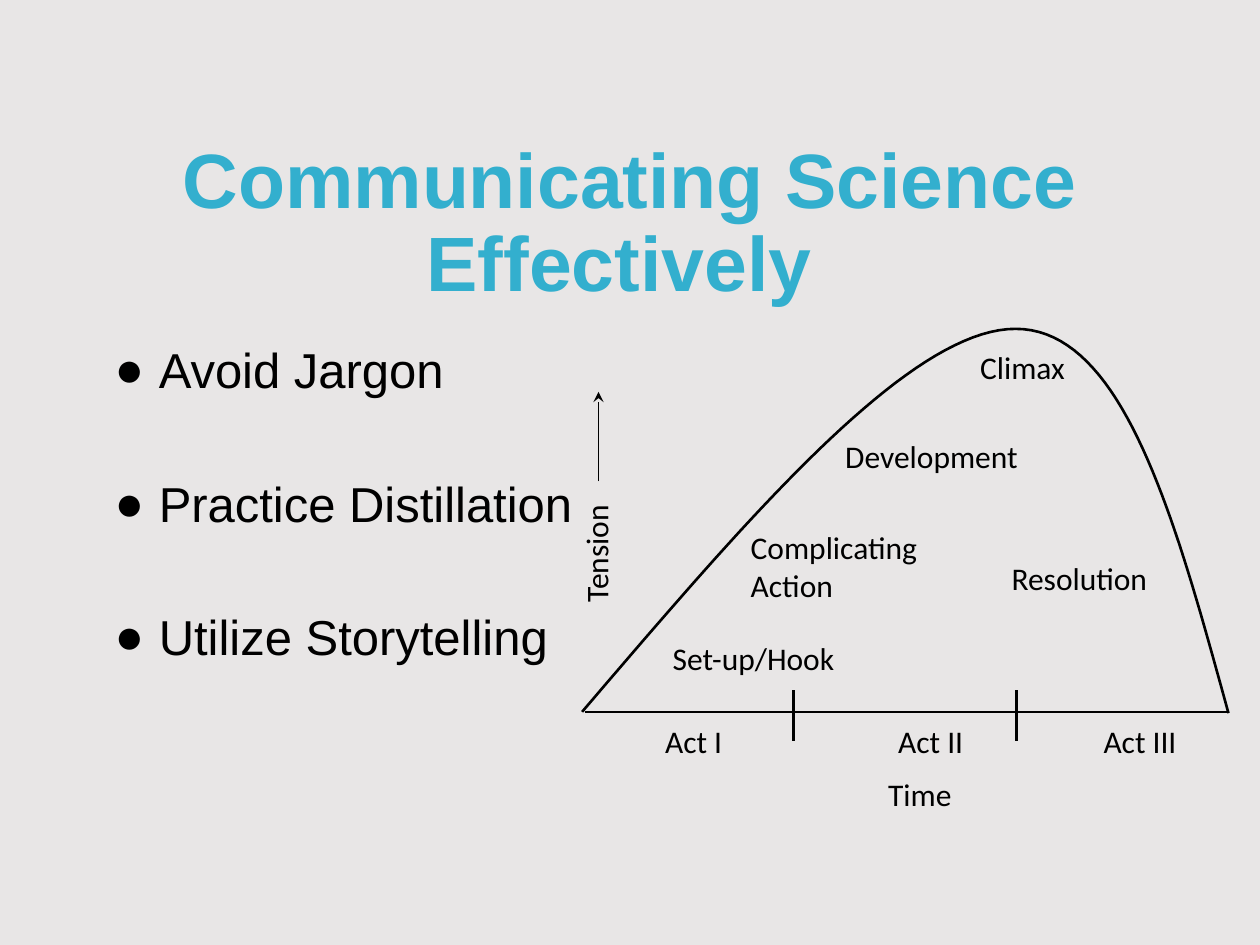
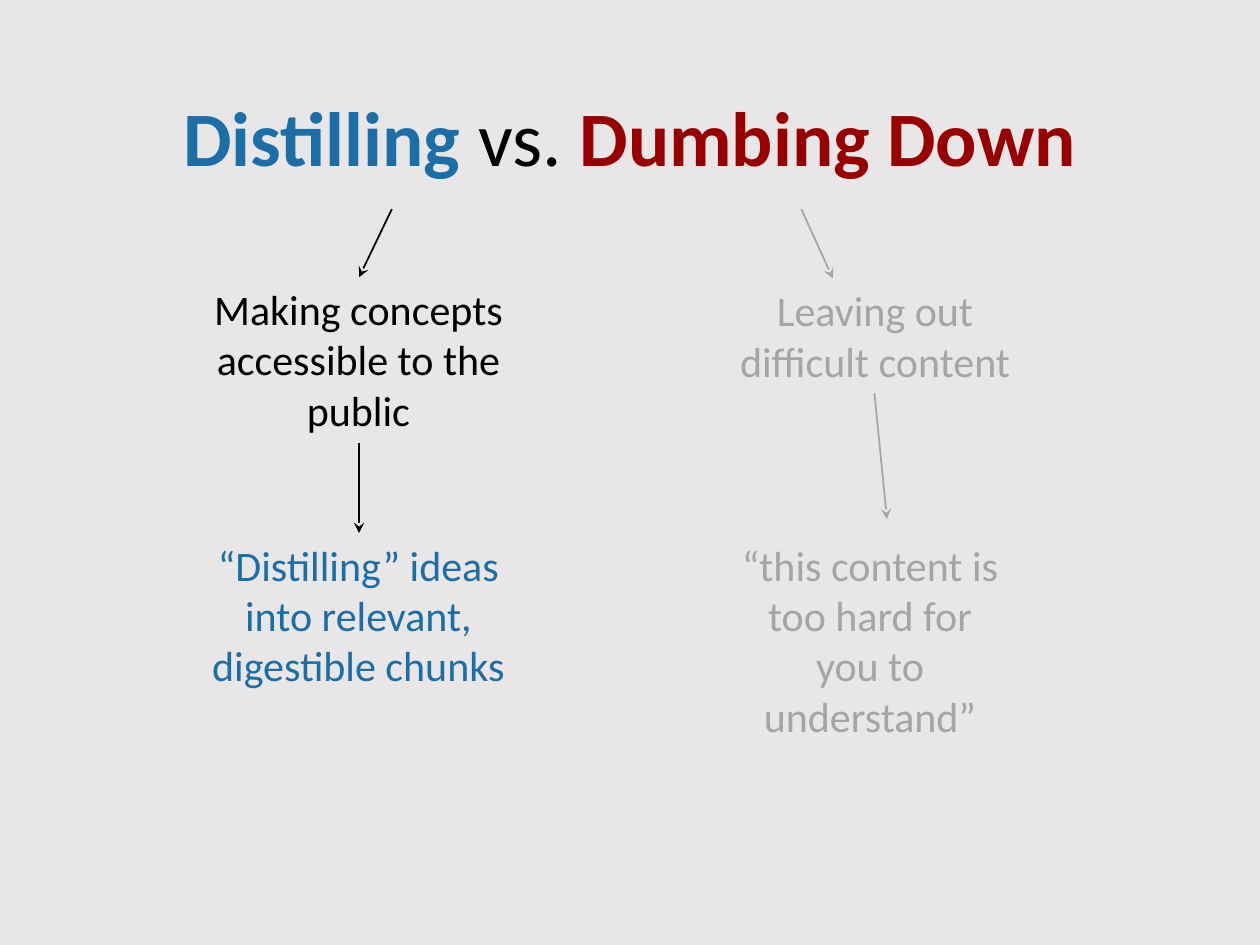
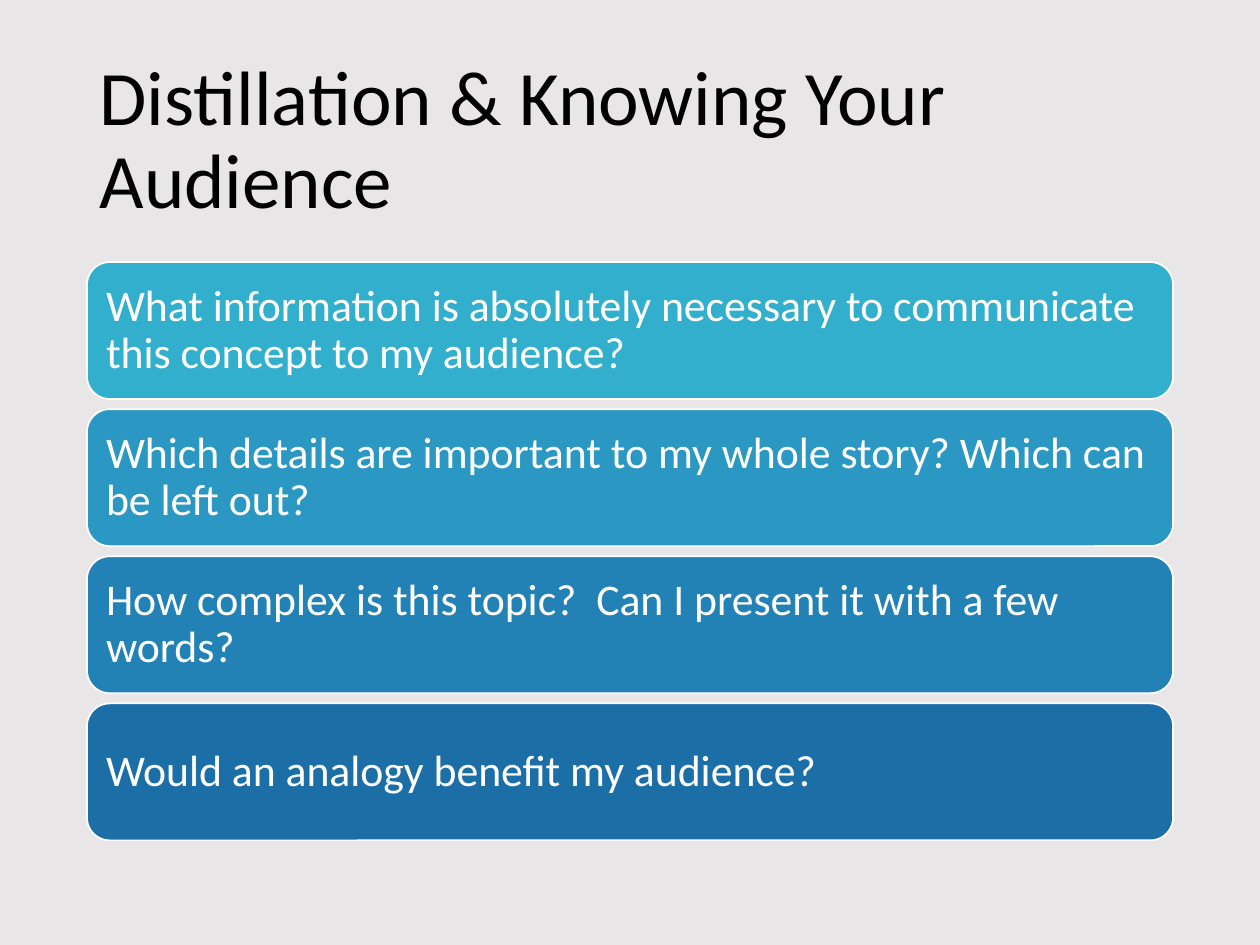
from lxml import etree
from pptx import Presentation
from pptx import util as u
from pptx.dml.color import RGBColor
from pptx.enum import shapes, text
from pptx.oxml import ns

# Shared colours, fonts and layouts
BACKGROUND = RGBColor(0xE8, 0xE6, 0xE6)
BLACK = RGBColor(0x00, 0x00, 0x00)
WHITE = RGBColor(0xFF, 0xFF, 0xFF)
GREY = RGBColor(0xA5, 0xA5, 0xA5)
RED = RGBColor(0x98, 0x00, 0x00)
TEAL = RGBColor(0x33, 0xAF, 0xCE)
AQUA = RGBColor(0x2A, 0x98, 0xC2)
MID_BLUE = RGBColor(0x23, 0x82, 0xB5)
BLUE = RGBColor(0x1C, 0x6E, 0xA7)
HEADING, BODY = "Arial", "Calibri"
LIST_LAYOUT, TITLE_LAYOUT = 1, 5
CENTER, LEFT = text.PP_ALIGN.CENTER, text.PP_ALIGN.LEFT
TITLE_BOX = (0.69, 0.4, 8.62, 1.45)


def set_attributes(target, **values):
    for name, value in values.items():
        setattr(target, name, value)


def place(shape, box):
    for name, value in zip(("left", "top", "width", "height"), box):
        setattr(shape, name, u.Inches(value))


def style_font(font, color, size, name=BODY, bold=False):
    set_attributes(font, name=name, size=u.Pt(size), bold=bold)
    font.color.rgb = color


def add_label(slide, words, box, color=BLACK, size=18, align=LEFT, rotation=0):
    label = slide.shapes.add_textbox(*map(u.Inches, box))
    label.rotation = rotation
    label.text_frame.word_wrap = True
    label.text_frame.text = words
    for paragraph in label.text_frame.paragraphs:
        paragraph.alignment = align
        style_font(paragraph.font, color, size)


def add_line(slide, start, end, color=BLACK, width=1.5, arrow=False):
    line = slide.shapes.add_connector(
        shapes.MSO_CONNECTOR.STRAIGHT, *map(u.Inches, (*start, *end)))
    line.line.color.rgb = color
    line.line.width = u.Pt(width)
    if arrow:
        etree.SubElement(line.line._get_or_add_ln(), ns.qn("a:tailEnd"), type="stealth")
    etree.SubElement(line._element.spPr, ns.qn("a:effectLst"))


def add_title(slide, runs, box=TITLE_BOX, align=CENTER, font=BODY):
    """Fill the title with (words, colour, bold) runs."""
    title = slide.shapes.title
    place(title, box)
    set_attributes(title.text_frame, word_wrap=True, auto_size=text.MSO_AUTO_SIZE.NONE,
                   vertical_anchor=text.MSO_ANCHOR.MIDDLE)
    paragraph = title.text_frame.paragraphs[0]
    set_attributes(paragraph, alignment=align, line_spacing=0.9)
    for words, color, bold in runs:
        run = paragraph.add_run()
        run.text = words
        style_font(run.font, color, 44, font, bold)


def add_advice(slide, items, box):
    """Widely spaced bullet list in the body placeholder."""
    advice = slide.placeholders[1]
    place(advice, box)
    frame = advice.text_frame
    set_attributes(frame, auto_size=text.MSO_AUTO_SIZE.NONE, margin_left=u.Inches(0.07),
                   margin_top=u.Inches(0.04))
    frame.text = "\n".join(items)
    for index, paragraph in enumerate(frame.paragraphs):
        properties = paragraph._p.get_or_add_pPr()
        properties.set("marL", str(u.Inches(0.5)))
        properties.set("indent", str(u.Inches(-0.35)))
        bullet_color = etree.SubElement(properties, ns.qn("a:buClr"))
        etree.SubElement(bullet_color, ns.qn("a:srgbClr"), val=str(BLACK))
        etree.SubElement(properties, ns.qn("a:buFont"), typeface=HEADING)
        etree.SubElement(properties, ns.qn("a:buChar"), char="●")
        set_attributes(paragraph, alignment=LEFT, line_spacing=0.9,
                       space_before=u.Pt(46 if index else 0))
        style_font(paragraph.font, BLACK, 28, HEADING)


def bezier(points, steps=40):
    """Points along a cubic curve, as lengths."""
    for step in range(steps + 1):
        t = step / steps
        weights = ((1 - t) ** 3, 3 * t * (1 - t) ** 2, 3 * t ** 2 * (1 - t), t ** 3)
        yield tuple(u.Inches(sum(w * p[axis] for w, p in zip(weights, points)))
                    for axis in (0, 1))


def add_story_arc(slide, left, top):
    """Tension curve over a three-act time axis."""
    def at(x, y, *size):
        return (left + x, top + y, *size)

    # Rise to the climax, then fall
    rise = [at(0, 3.04), at(1.3, 1.52), at(2.59, 0), at(3.44, 0)]
    fall = [at(3.44, 0), at(4.3, 0), at(4.71, 1.52), at(5.13, 3.05)]
    start, *curve = [*bezier(rise), *list(bezier(fall))[1:]]
    builder = slide.shapes.build_freeform(*start)
    builder.add_line_segments(curve, close=False)
    arc = builder.convert_to_shape()
    arc.shadow.inherit = False
    arc.fill.background()
    arc.line.color.rgb = BLACK
    arc.line.width = u.Pt(1.5)

    # Stages along the curve
    for words, x, y, width, height in (
            ("Set-up/Hook", 0.62, 2.41, 1.6, 0.28),
            ("Complicating\nAction", 1.24, 1.53, 2.19, 0.5),
            ("Development", 1.99, 0.81, 1.72, 0.28),
            ("Climax", 3.06, 0.1, 0.88, 0.28),
            ("Resolution", 3.31, 1.78, 1.6, 0.28)):
        add_label(slide, words, at(x, y, width, height))

    # Time axis with its acts
    add_line(slide, at(0.02, 3.04), at(5.13, 3.04))
    for tick in (1.68, 3.45):
        add_line(slide, at(tick, 2.87), at(tick, 3.27))
    for act, x in (("Act I", 0.56), ("Act II", 2.41), ("Act III", 4.04)):
        add_label(slide, act, at(x, 3.07, 0.88, 0.28))
    add_label(slide, "Time", at(2.33, 3.49, 0.99, 0.39))

    # Tension axis
    add_label(slide, "Tension", at(-0.73, 1.25, 1.66, 0.38), rotation=270)
    add_line(slide, at(0.13, 1.21), at(0.13, 0.5), width=1, arrow=True)


def add_chain(slide, steps, arrows, color):
    """Column of statements joined by arrows."""
    for words, box, step_color in steps:
        add_label(slide, words, box, step_color, 24, CENTER)
    for start, end in arrows:
        add_line(slide, start, end, color, 1, arrow=True)


def add_questions(slide, questions, box):
    """Stack of equal rounded bars."""
    left, top, width, height = box
    gap = 0.08
    bar_height = (height - gap * (len(questions) - 1)) / len(questions)
    for index, (question, color) in enumerate(questions):
        bar_top = top + index * (bar_height + gap)
        bar = slide.shapes.add_shape(
            shapes.MSO_SHAPE.ROUNDED_RECTANGLE,
            *map(u.Inches, (left, bar_top, width, bar_height)))
        bar.shadow.inherit = False
        bar.fill.solid()
        bar.fill.fore_color.rgb = color
        bar.line.color.rgb = WHITE
        bar.line.width = u.Pt(1)
        set_attributes(bar.text_frame, text=question, word_wrap=True,
                       vertical_anchor=text.MSO_ANCHOR.MIDDLE)
        paragraph = bar.text_frame.paragraphs[0]
        set_attributes(paragraph, alignment=LEFT, line_spacing=0.9)
        style_font(paragraph.font, WHITE, 25)


def build_communicating(slide):
    add_title(slide, [("Communicating Science Effectively ", TEAL, True)],
              (0.69, 1.24, 8.62, 1.09), font=HEADING)
    add_advice(slide, ["Avoid Jargon", "Practice Distillation", "Utilize Storytelling"],
               (0.69, 2.71, 8.62, 3.57))
    add_story_arc(slide, 4.62, 2.61)


def build_comparison(slide):
    add_title(slide, [("Distilling ", BLUE, True), ("vs. ", BLACK, False),
                      ("Dumbing Down", RED, True)])
    add_chain(slide,
              [("Making concepts accessible to the public", (1.54, 2.2, 2.61, 1.31), BLACK),
               ("“Distilling” ideas into relevant, digestible chunks",
                (1.46, 4.23, 2.77, 1.31), BLUE)],
              [((3.11, 1.66), (2.85, 2.2)), ((2.85, 3.52), (2.85, 4.23))], BLACK)
    add_chain(slide,
              [("Leaving out difficult content", (5.72, 2.21, 2.45, 0.91), GREY),
               ("“this content is too hard for you to understand”",
                (5.72, 4.23, 2.37, 1.72), GREY)],
              [((6.36, 1.66), (6.61, 2.21)), ((6.94, 3.12), (7.04, 4.12))], GREY)


def build_audience(slide):
    add_title(slide, [("Distillation & Knowing Your Audience", BLACK, False)], align=LEFT)
    add_questions(slide, [
        ("What information is absolutely necessary to communicate this concept "
         "to my audience?", TEAL),
        ("Which details are important to my whole story? Which can be left out?", AQUA),
        ("How complex is this topic?  Can I present it with a few words?", MID_BLUE),
        ("Would an analogy benefit my audience?", BLUE),
    ], (0.69, 2.08, 8.62, 4.59))


def main():
    deck = Presentation()
    set_attributes(deck, slide_width=u.Inches(10), slide_height=u.Inches(7.5))
    backdrop = deck.slide_master.background.fill
    backdrop.solid()
    backdrop.fore_color.rgb = BACKGROUND
    for build, layout in ((build_communicating, LIST_LAYOUT),
                          (build_comparison, TITLE_LAYOUT),
                          (build_audience, TITLE_LAYOUT)):
        build(deck.slides.add_slide(deck.slide_layouts[layout]))
    deck.save("out.pptx")


if __name__ == "__main__":
    main()
